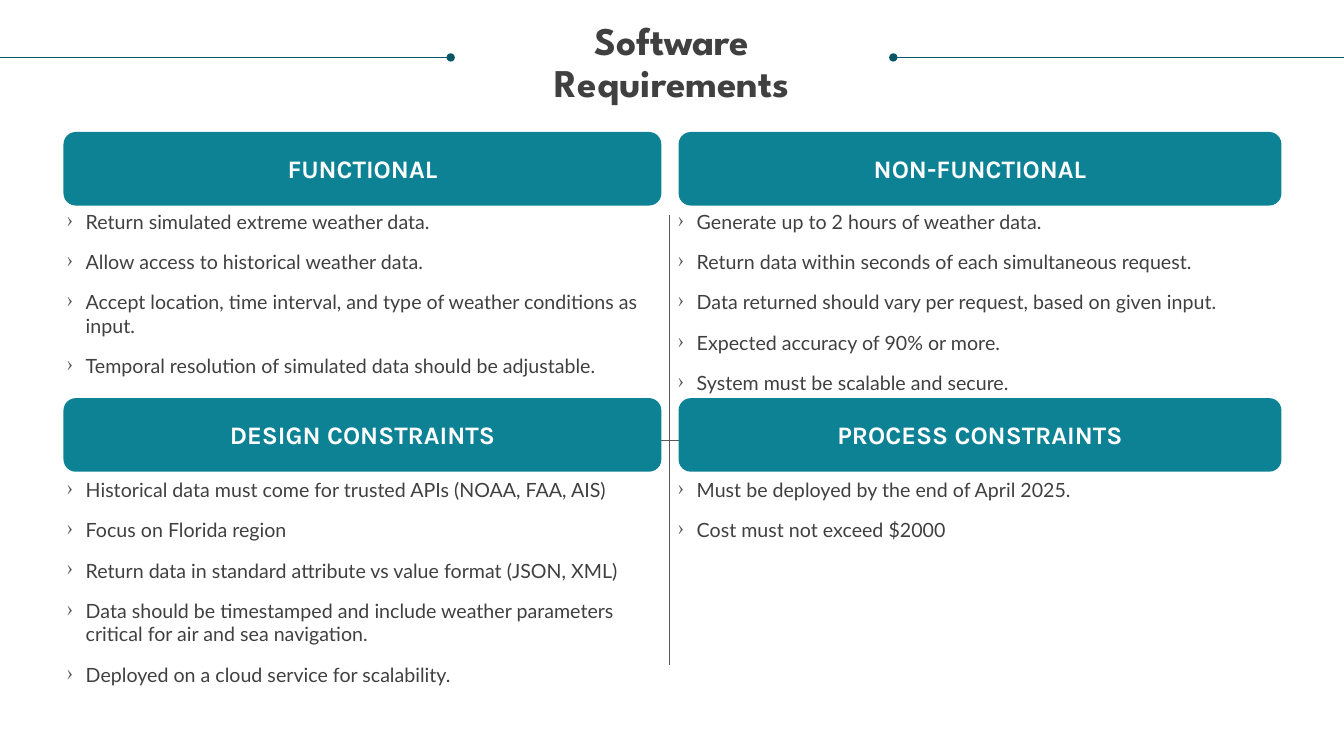
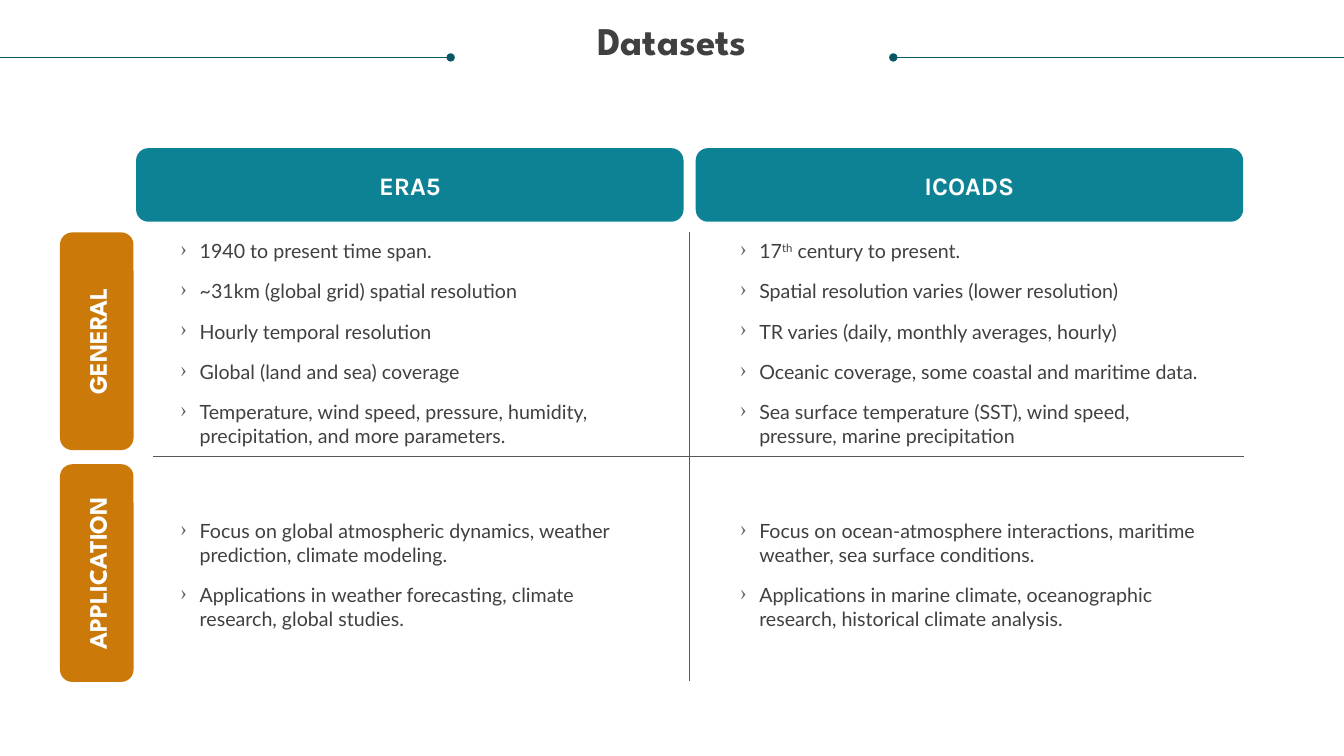
from lxml.etree import SubElement
from pptx import Presentation
from pptx.dml.color import RGBColor
from pptx.enum.shapes import MSO_CONNECTOR, MSO_SHAPE
from pptx.enum.text import MSO_ANCHOR, PP_ALIGN
from pptx.oxml.ns import qn
from pptx.util import Inches, Pt

HUES = {"teal": "0D8295", "deep": "085764", "gold": "CB7A09",
        "ink": "404040", "gray": "585858", "white": "FFFFFF"}
HEAD, TAG, BODY = "League Spartan", "Karla", "Lato"
WIDE, HIGH, BAR = 13.33, 7.5, 0.73


def hue(name):
    return RGBColor.from_string(HUES[name])


def mark(para):
    """Give a paragraph a hanging angle bullet."""
    props = para._p.get_or_add_pPr()
    props.set("marL", str(Inches(0.19)))
    props.set("indent", str(Inches(-0.19)))
    tint = SubElement(props, qn("a:buClr"))
    SubElement(tint, qn("a:srgbClr")).set("val", HUES["gray"])
    SubElement(props, qn("a:buChar")).set("char", "›")


def write(frame, lines, size=14, font=BODY, color="ink", bold=False,
          align=PP_ALIGN.LEFT, space=None, gap=0, bullet=False):
    """Fill a frame with one paragraph a line; ^x^ is superscript."""
    frame.word_wrap = True
    for row, line in enumerate(lines):
        para = frame.add_paragraph() if row else frame.paragraphs[0]
        if bullet:
            mark(para)
        para.alignment = align
        if space:
            para.line_spacing = space
        if row and gap:
            para.space_before = Pt(gap)
        for part, text in enumerate(line.split("^")):
            run = para.add_run()
            run.text = text
            run.font.size, run.font.name = Pt(size), font
            run.font.bold = bold
            run.font.color.rgb = hue(color)
            if part % 2:
                run._r.get_or_add_rPr().set("baseline", "30000")


class Deck:
    def __init__(self):
        self.show = Presentation()
        self.show.slide_width = Inches(WIDE)
        self.show.slide_height = Inches(HIGH)
        self.page = None

    def start(self, *title):
        """Add a slide with its title between two dotted rules."""
        self.page = self.show.slides.add_slide(self.show.slide_layouts[6])
        for near, far in ((4.47, 0), (8.86, WIDE)):
            self.line(near, 0.57, far, 0.57, "deep", dot=True)
        self.text(0.25, 0.21, 12.83, 1.15, title, size=28, font=HEAD,
                  bold=True, align=PP_ALIGN.CENTER, space=0.9)

    def line(self, x1, y1, x2, y2, color="gray", dot=False):
        rule = self.page.shapes.add_connector(
            MSO_CONNECTOR.STRAIGHT, *map(Inches, (x1, y1, x2, y2)))
        rule.line.color.rgb = hue(color)
        rule.line.width = Pt(0.5)
        if dot:
            SubElement(rule.line._get_or_add_ln(),
                       qn("a:headEnd")).set("type", "oval")
        SubElement(rule._element.spPr, qn("a:effectLst"))

    def text(self, x, y, w, h, lines, **style):
        frame = self.page.shapes.add_textbox(
            *map(Inches, (x, y, w, h))).text_frame
        frame.margin_left = frame.margin_right = 0
        frame.margin_top = frame.margin_bottom = 0
        write(frame, lines, **style)

    def list(self, x, y, w, h, lines):
        self.text(x, y, w, h, lines, gap=12, bullet=True)

    def bar(self, x, y, w, label, fill="teal", font=TAG, turn=0):
        box = self.page.shapes.add_shape(
            MSO_SHAPE.ROUNDED_RECTANGLE, *map(Inches, (x, y, w, BAR)))
        box.shadow.inherit = False
        box.fill.solid()
        box.fill.fore_color.rgb = hue(fill)
        box.line.fill.background()
        box.rotation = turn
        box.text_frame.vertical_anchor = MSO_ANCHOR.MIDDLE
        write(box.text_frame, [label], size=18, font=font, color="white",
              bold=True, align=PP_ALIGN.CENTER)


def needs(deck):
    deck.start("Software", "Requirements")
    deck.line(1.31, 4.37, 12.14, 4.37)
    deck.line(6.64, 2.13, 6.64, 6.6)
    cols = ((0.63, 5.93, 0.66, 5.89), (6.73, 5.98, 6.72, 5.95))
    rows = ((1.31, 2.08, 1.85), (3.95, 4.74, 2.09))
    cells = (
        (("FUNCTIONAL", (
            "Return simulated extreme weather data.",
            "Allow access to historical weather data.",
            "Accept location, time interval, and type of weather "
            "conditions as input.",
            "Temporal resolution of simulated data should be adjustable.")),
         ("NON-FUNCTIONAL", (
             "Generate up to 2 hours of weather data.",
             "Return data within seconds of each simultaneous request.",
             "Data returned should vary per request, based on given input.",
             "Expected accuracy of 90% or more.",
             "System must be scalable and secure."))),
        (("DESIGN CONSTRAINTS", (
            "Historical data must come for trusted APIs (NOAA, FAA, AIS)",
            "Focus on Florida region",
            "Return data in standard attribute vs value format (JSON, XML)",
            "Data should be timestamped and include weather parameters "
            "critical for air and sea navigation.",
            "Deployed on a cloud service for scalability.")),
         ("PROCESS CONSTRAINTS", (
             "Must be deployed by the end of April 2025.",
             "Cost must not exceed $2000"))))
    for (top, y, h), row in zip(rows, cells):
        for (left, wide, x, w), (label, lines) in zip(cols, row):
            deck.bar(left, top, wide, label)
            deck.list(x, y, w, h, lines)


def data(deck):
    deck.start("Datasets")
    deck.line(1.52, 4.53, 12.34, 4.53)
    deck.line(6.84, 2.3, 6.84, 6.76)
    for y, label in ((3.02, "GENERAL"), (5.32, "APPLICATION")):
        deck.bar(-0.12, y, 2.16, label, "gold", HEAD, 270)
    rows = ((2.37, 2.09), (5.15, 1.11))
    sets = (
        (1.35, "ERA5", (
            ("1940 to present time span.",
             "~31km (global grid) spatial resolution",
             "Hourly temporal resolution",
             "Global (land and sea) coverage",
             "Temperature, wind speed, pressure, humidity, "
             "precipitation, and more parameters."),
            ("Focus on global atmospheric dynamics, weather prediction, "
             "climate modeling.",
             "Applications in weather forecasting, climate research, "
             "global studies."))),
        (6.9, "ICOADS", (
            ("17^th^ century to present.",
             "Spatial resolution varies (lower resolution)",
             "TR varies (daily, monthly averages, hourly)",
             "Oceanic coverage, some coastal and maritime data.",
             "Sea surface temperature (SST), wind speed, pressure, "
             "marine precipitation"),
            ("Focus on ocean-atmosphere interactions, maritime weather, "
             "sea surface conditions.",
             "Applications in marine climate, oceanographic research, "
             "historical climate analysis."))))
    for x, label, lists in sets:
        deck.bar(x, 1.47, 5.43, label)
        for (y, h), lines in zip(rows, lists):
            deck.list(x + 0.44, y, 4.55, h, lines)


def main():
    deck = Deck()
    needs(deck)
    data(deck)
    deck.show.save("out.pptx")


if __name__ == "__main__":
    main()
